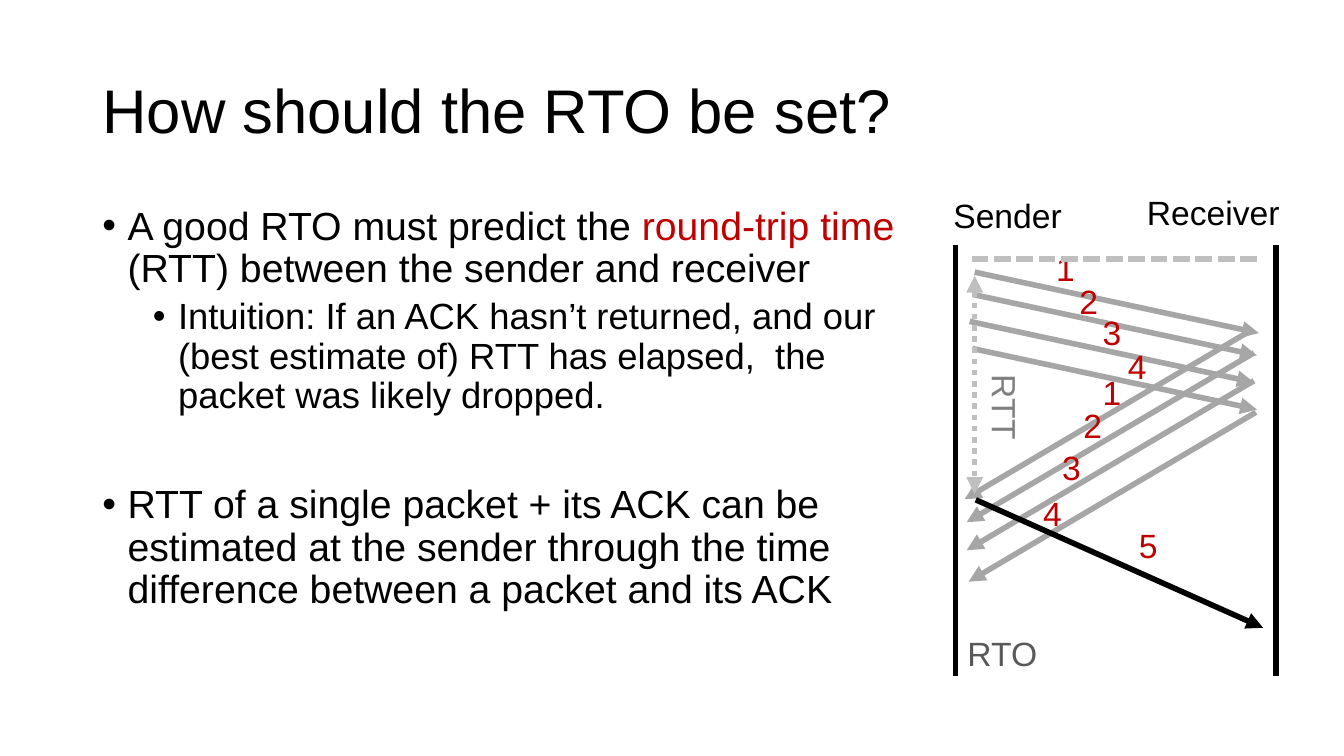
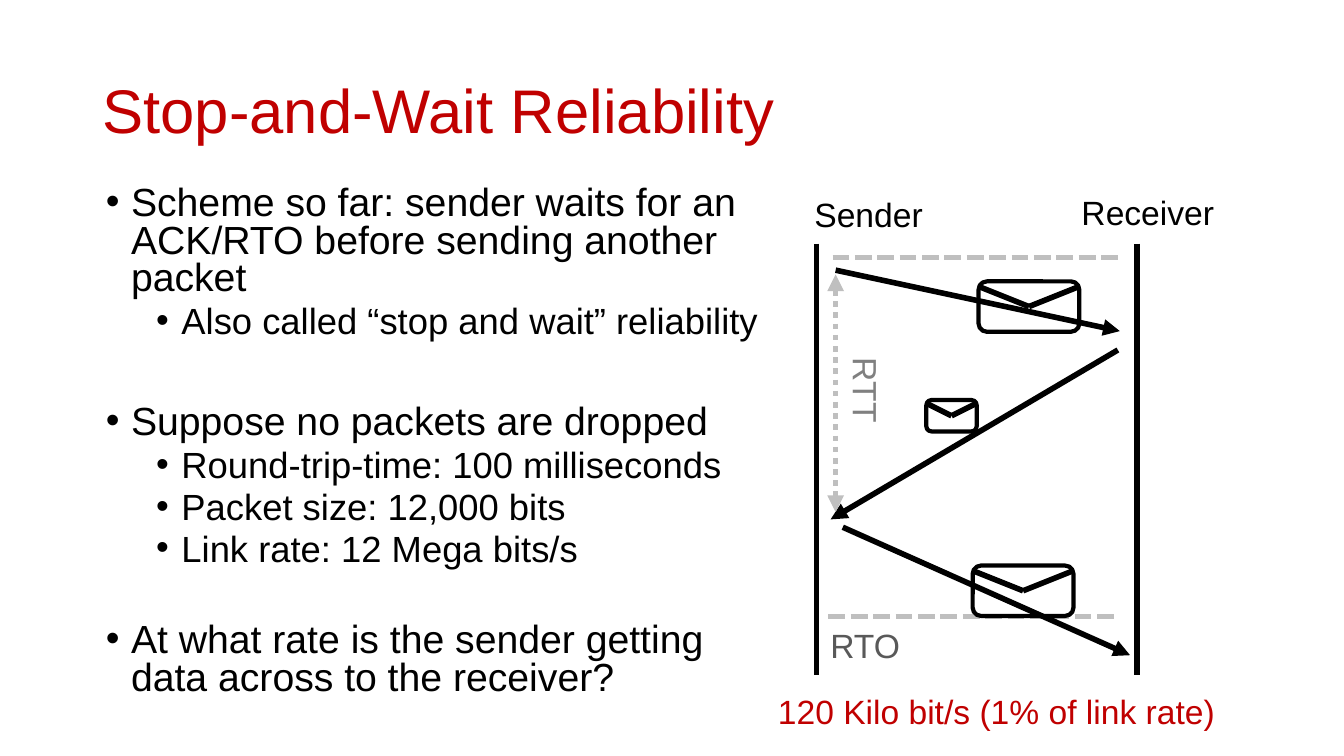
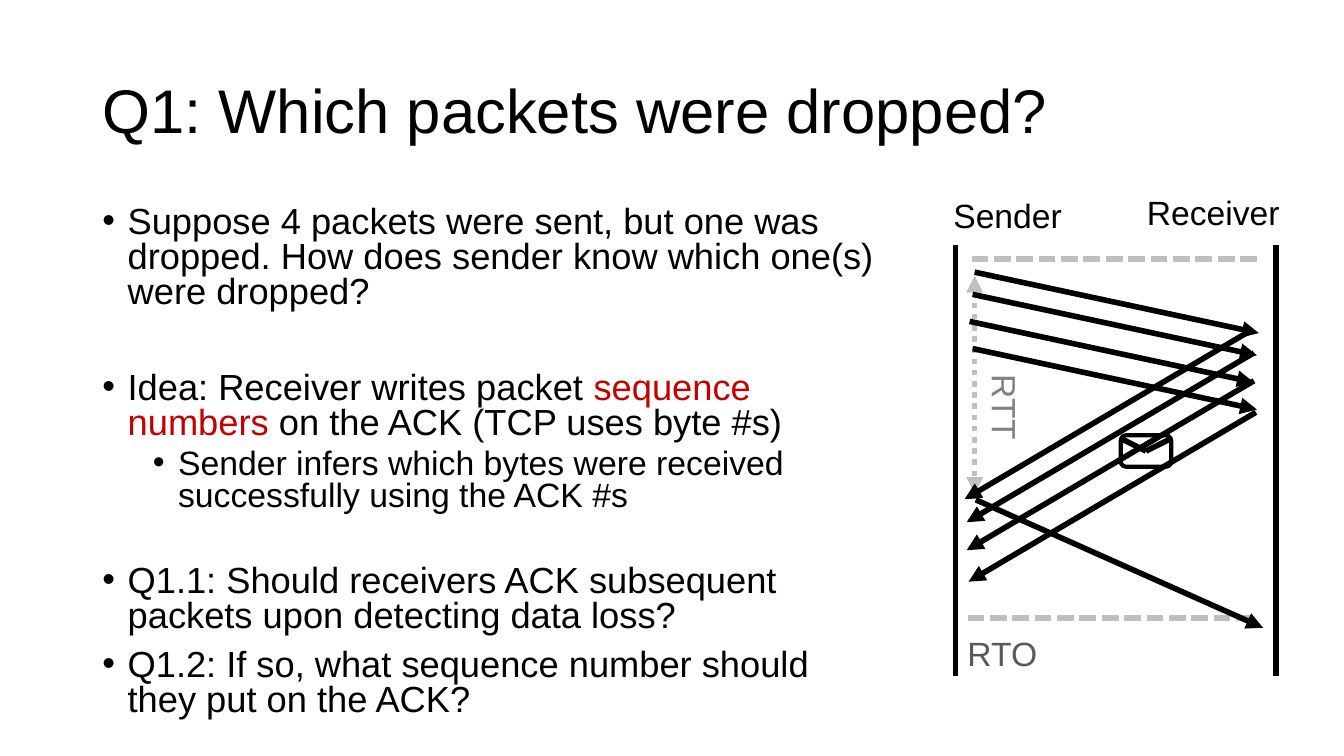
from lxml import etree
from pptx import Presentation
from pptx.dml.color import RGBColor
from pptx.enum.dml import MSO_LINE
from pptx.enum.shapes import MSO_CONNECTOR as CONN, MSO_SHAPE as SHAPE
from pptx.enum.text import MSO_ANCHOR as ANCHOR, MSO_AUTO_SIZE as AUTO, PP_ALIGN as ALIGN
from pptx.oxml.ns import qn
from pptx.util import Pt

COLORS = {
    "ink": "000000", "accent": "C00000", "faded": "A6A6A6",
    "guide": "BFBFBF", "rtt": "808080", "rto": "595959",
}
FONT = "Arial"

# Horizontal and vertical reach of each kind of message arrow
SEND = (203, 43.5)
ACK = (-205.2, 121)
RESEND = (205.2, 91.4)


class Deck:
    """Holds the shared style and the slide being filled."""

    def __init__(self):
        self.prs = Presentation()
        self.prs.slide_width, self.prs.slide_height = Pt(960), Pt(540)
        self.slide = None

    # Text
    def style(self, r, size, color):
        r.font.name, r.font.size = FONT, Pt(size)
        r.font.color.rgb = RGBColor.from_string(COLORS[color])

    def place(self, sp, left, top, width, height):
        sp.left, sp.top, sp.width, sp.height = Pt(left), Pt(top), Pt(width), Pt(height)

    def new_slide(self, title, color="ink"):
        self.slide = self.prs.slides.add_slide(self.prs.slide_layouts[1])
        sp = self.slide.shapes.title
        self.place(sp, 66, 28.8, 828, 104.4)
        tf = sp.text_frame
        tf.text = title
        tf.vertical_anchor, tf.auto_size = ANCHOR.MIDDLE, AUTO.NONE
        p = tf.paragraphs[0]
        p.alignment, p.line_spacing = ALIGN.LEFT, 0.9
        self.style(p.runs[0], 44, color)

    def bullets(self, box, items, sizes, spacing):
        """Items are (level, text, extra space before); |bars| mark accents."""
        sp = self.slide.placeholders[1]
        self.place(sp, *box)
        tf = sp.text_frame
        tf.auto_size = AUTO.NONE
        for i, (level, text, gap) in enumerate(items):
            p = tf.add_paragraph() if i else tf.paragraphs[0]
            p.level = level
            pPr = p._p.get_or_add_pPr()
            pPr.set("marL", str(Pt(18 + 36 * level)))
            pPr.set("indent", str(Pt(-18)))
            etree.SubElement(pPr, qn("a:buFont")).set("typeface", FONT)
            etree.SubElement(pPr, qn("a:buChar")).set("char", "•")
            p.line_spacing = spacing
            p.space_before = Pt((5 if level else 10) + gap if i else 0)
            for j, part in enumerate(text.split("|")):
                r = p.add_run()
                r.text = part
                self.style(r, sizes[level], "accent" if j % 2 else "ink")

    def label(self, text, left, top, width, color="ink", rotation=0):
        sp = self.slide.shapes.add_textbox(Pt(left), Pt(top), Pt(width), Pt(36.4))
        sp.rotation = rotation
        tf = sp.text_frame
        tf.word_wrap, tf.auto_size = True, AUTO.SHAPE_TO_FIT_TEXT
        tf.text = text
        self.style(tf.paragraphs[0].runs[0], 24, color)

    # Lines
    def line(self, x1, y1, x2, y2, color="ink", dash=None, ends=(), shapes=None):
        shapes = shapes or self.slide.shapes
        cn = shapes.add_connector(CONN.STRAIGHT, Pt(x1), Pt(y1), Pt(x2), Pt(y2))
        cn.line.width = Pt(4)
        cn.line.color.rgb = RGBColor.from_string(COLORS[color])
        if dash:
            cn.line.dash_style = dash
        ln = cn.line._get_or_add_ln()
        for end in ends:
            etree.SubElement(ln, qn(f"a:{end}")).set("type", "triangle")
        etree.SubElement(cn._element.spPr, qn("a:effectLst"))

    def message(self, x, y, reach, color="ink"):
        self.line(x, y, x + reach[0], y + reach[1], color, ends=["tailEnd"])

    def envelope(self, x, y, w, h):
        shapes = self.slide.shapes.add_group_shape().shapes
        sp = shapes.add_shape(SHAPE.ROUNDED_RECTANGLE, Pt(x), Pt(y), Pt(w), Pt(h))
        sp.shadow.inherit = False
        sp.fill.background()
        sp.line.width = Pt(3)
        sp.line.color.rgb = RGBColor.from_string(COLORS["ink"])
        edge, fold = y + h / 10, y + h / 2
        self.line(x, edge, x + w / 2, fold, shapes=shapes)
        self.line(x + w / 2, fold, x + w, edge, shapes=shapes)

    # Sequence diagram, placed by its sender line
    def hosts(self, x, top, receiver_dx):
        for host in (x, x + 229):
            self.line(host, top, host, top + 308)
        self.label("Sender", x - 8.6, top - 39, 109)
        self.label("Receiver", x + receiver_dx, 133.2, 121)

    def guides(self, x, top, rtt_end, rtt_y, rto_line=True):
        dashes = [(11.5, 10)] + ([(8.6, 266.3)] if rto_line else [])
        for dx, dy in dashes:
            self.line(x + dx, top + dy, x + dx + 205.2, top + dy, "guide", MSO_LINE.SQUARE_DOT)
        self.line(x + 13.7, top + 22, x + 13.7, rtt_end, "guide",
                  MSO_LINE.ROUND_DOT, ["headEnd", "tailEnd"])
        self.label("RTT", x - 4.3, rtt_y, 79.2, "rtt", 90)

    def window(self, color="ink"):
        """Four packets in flight and their ACKs."""
        for x, y in [(696.2, 194.4), (694.8, 210.3), (692.6, 229.6), (694.8, 249)]:
            self.message(x, y, SEND, color)
        for x, y in [(894.2, 235.6), (895.7, 252), (895.7, 272), (897.1, 294.5)]:
            self.message(x, y, ACK, color)


def rto_slide(d):
    x, top = 682.5, 175
    d.new_slide("How should the RTO be set?")
    d.bullets((66, 144, 604, 342.7), [
        (0, "A good RTO must predict the |round-trip time| (RTT) between the sender and receiver", 0),
        (1, "Intuition: If an ACK hasn’t returned, and our (best estimate of) RTT has elapsed,  "
            "the packet was likely dropped.", 0),
        (0, "RTT of a single packet + its ACK can be estimated at the sender through the time "
            "difference between a packet and its ACK", 39),
    ], (28, 26), 0.9)
    d.hosts(x, top, 129.6)
    d.window("faded")
    numbers = [("1", 747.4, 173.5), ("2", 763.9, 197.3), ("3", 780.5, 219.6),
               ("4", 798.5, 243.4), ("1", 780.5, 262), ("2", 766.8, 285.8),
               ("3", 751.7, 315.4), ("4", 738, 348.5), ("5", 806.4, 371.5)]
    for text, left, y in numbers:
        d.label(text, left, y, 53.3, "accent")
    d.guides(x, top, 352.8, 282.2, rto_line=False)
    d.message(697, 357, RESEND)
    d.label("RTO", 684, 448.6, 79.2, "rto")


def stop_and_wait_slide(d):
    x, top = 583.2, 174
    d.new_slide("Stop-and-Wait Reliability", "accent")
    d.bullets((68.4, 129.6, 498.2, 396), [
        (0, "Scheme so far: sender waits for an ACK/RTO before sending another packet", 0),
        (1, "Also called “stop and wait” reliability", 0),
        (0, "Suppose no packets are dropped", 36),
        (1, "Round-trip-time: 100 milliseconds", 0),
        (1, "Packet size: 12,000 bits", 0),
        (1, "Link rate: 12 Mega bits/s", 0),
        (0, "At what rate is the sender getting data across to the receiver?", 29),
    ], (28, 26), 0.8)
    d.hosts(x, top, 182.2)
    d.message(596.9, 193, SEND)
    d.envelope(699, 201, 72, 36)
    d.message(798.5, 250, ACK)
    d.envelope(661.7, 285.8, 36, 22.4)
    d.guides(x, top, 365.8, 270)
    d.message(602, 376.6, RESEND)
    d.envelope(694.8, 404, 72, 36)
    d.label("120 Kilo bit/s (1% of link rate)", 548.6, 490.3, 360.7, "accent")
    d.label("RTO", 586, 442.8, 79.2, "rto")


def dropped_slide(d):
    x, top = 682.5, 175
    d.new_slide("Q1: Which packets were dropped?")
    d.bullets((66, 144, 566.6, 391), [
        (0, "Suppose 4 packets were sent, but one was dropped. How does sender know which "
            "one(s) were dropped?", 0),
        (0, "Idea: Receiver writes packet |sequence numbers |on the ACK (TCP uses byte #s)", 34),
        (1, "Sender infers which bytes were received successfully using the ACK #s", 0),
        (0, "Q1.1: Should receivers ACK subsequent packets upon detecting data loss?", 27),
        (0, "Q1.2: If so, what sequence number should they put on the ACK?", 0),
    ], (25.9, 24.1), 0.8)
    d.hosts(x, top, 129.6)
    d.guides(x, top, 352.8, 282.2)
    d.message(697, 357, RESEND)
    d.window()
    d.envelope(800.6, 311, 36, 22.4)
    d.label("RTO", 684, 448.6, 79.2, "rto")


def main():
    d = Deck()
    rto_slide(d)
    stop_and_wait_slide(d)
    dropped_slide(d)
    d.prs.save("out.pptx")


if __name__ == "__main__":
    main()
